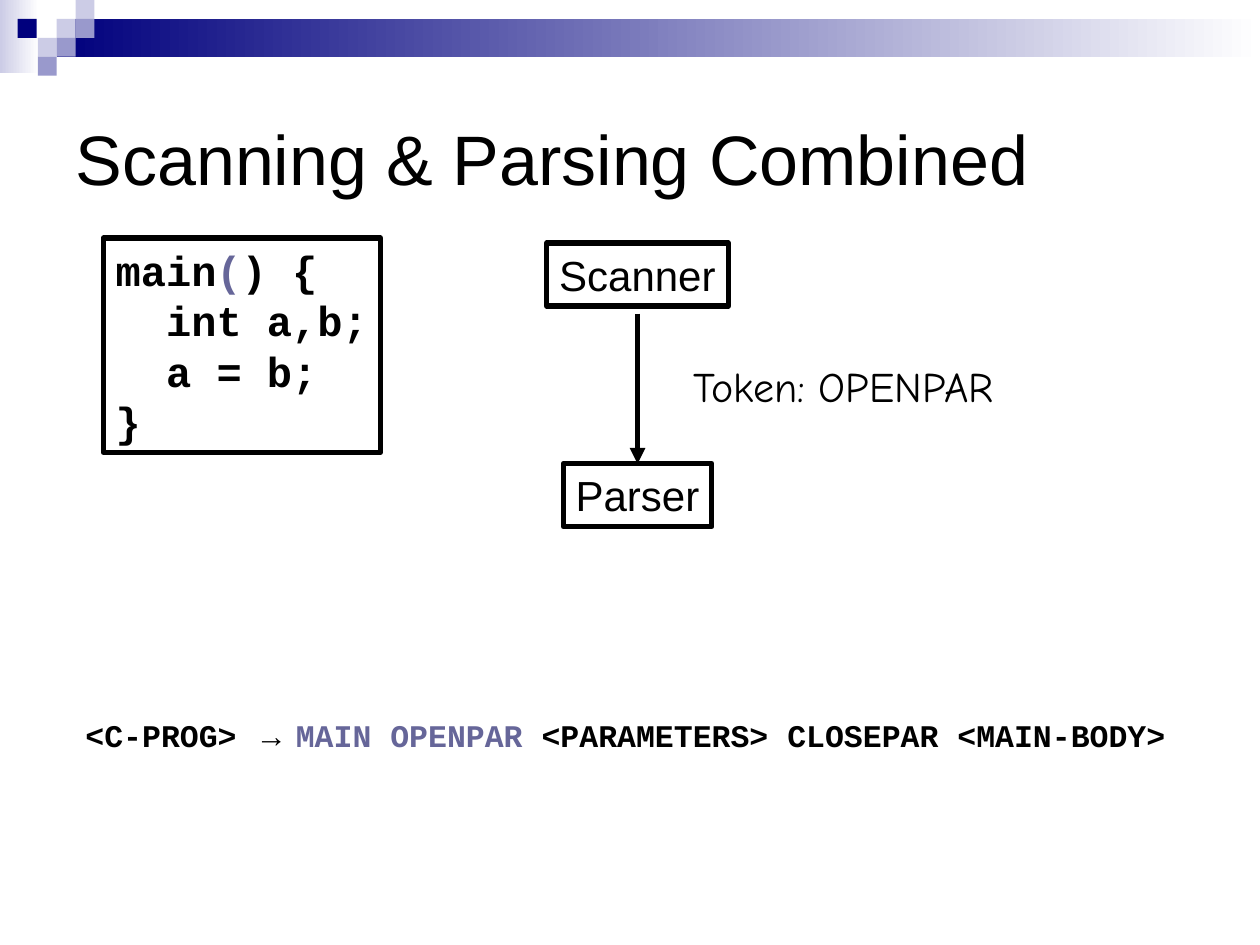
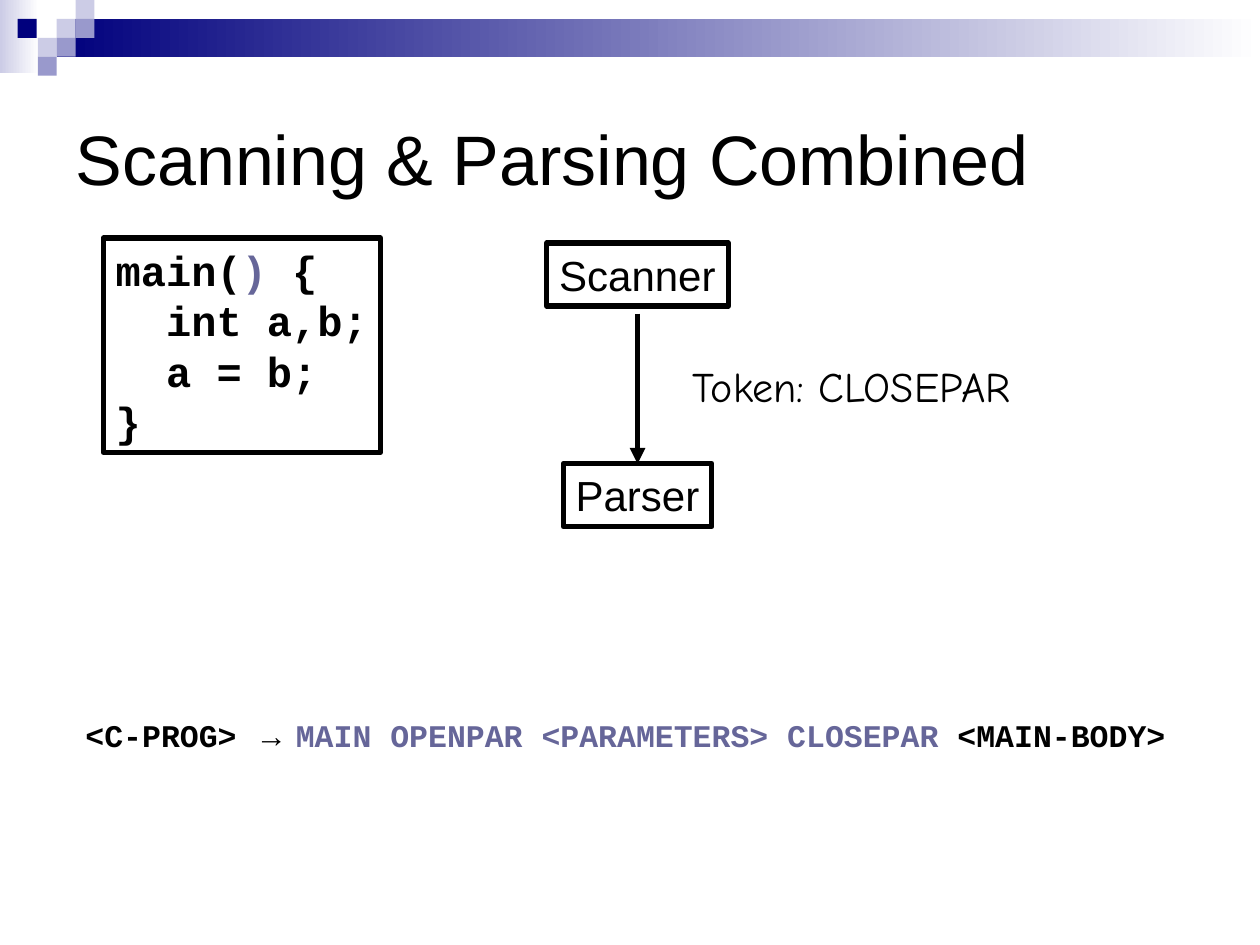
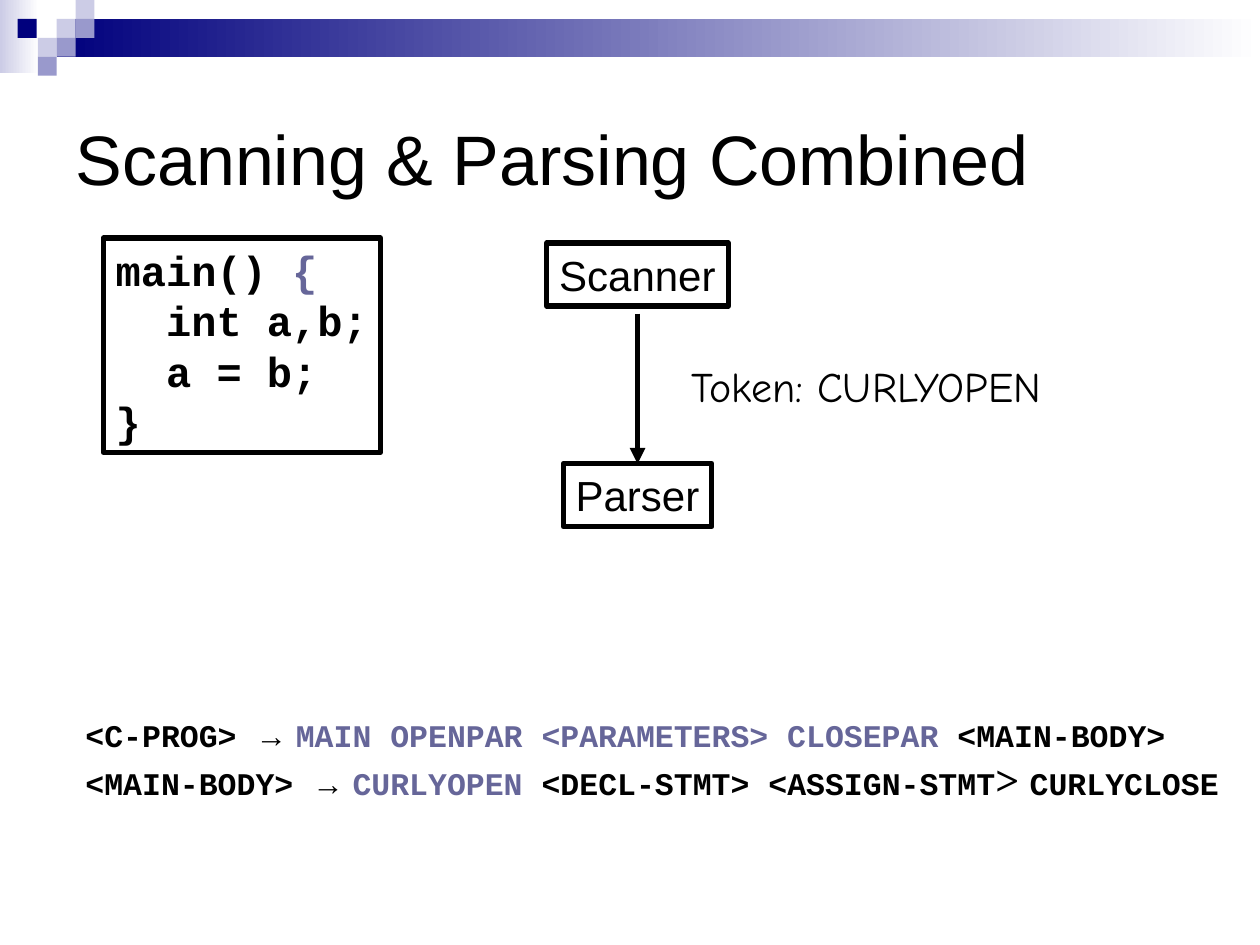
from lxml import etree
from pptx import Presentation
from pptx.dml.color import RGBColor
from pptx.enum.shapes import MSO_CONNECTOR, MSO_SHAPE
from pptx.enum.text import MSO_ANCHOR, PP_ALIGN
from pptx.oxml.ns import qn
from pptx.util import Inches, Pt

RECT = MSO_SHAPE.RECTANGLE
LINE = MSO_CONNECTOR.STRAIGHT
LEFT, MID = PP_ALIGN.LEFT, PP_ALIGN.CENTER
TOP, CENTRE = MSO_ANCHOR.TOP, MSO_ANCHOR.MIDDLE

BLACK, WHITE, NAVY = "000000", "FFFFFF", "00007D"
PALE, LILAC, MARK = "CCCCE6", "9999CC", "666699"
SANS, MONO, HAND, SERIF = "Arial", "Courier New", "Comic Neue", "Times New Roman"
TITLE = "Scanning & Parsing Combined"
BODY = ["  int a,b;", "  a = b;", "}"]
TILES = [
    (0.45, 0.15, PALE), (0.6, 0, PALE), (0.6, 0.15, LILAC), (0.3, 0.3, PALE),
    (0.14, 0.15, NAVY), (0.45, 0.3, LILAC), (0.3, 0.45, LILAC),
]
ARROW = ("→ ", {"name": SANS})


def rgb(code):
    """Turn a hex string into a colour."""
    return RGBColor.from_string(code)


def mark(text):
    """Return a run in the highlight colour."""
    return text, {"color": MARK}


def style(font, name=None, size=None, color=None, bold=None):
    """Set the given properties of a font."""
    if name:
        font.name = name
    if size:
        font.size = Pt(size)
    if color:
        font.color.rgb = rgb(color)
    if bold is not None:
        font.bold = bold


def write(shape, paras, name, size, bold=False, wrap=True, align=LEFT, anchor=TOP):
    """Fill a shape with paragraphs, each a string or a list of runs."""
    frame = shape.text_frame
    frame.word_wrap = wrap
    frame.vertical_anchor = anchor
    for i, runs in enumerate(paras):
        para = frame.add_paragraph() if i else frame.paragraphs[0]
        para.alignment = align
        style(para.font, name, size, BLACK, bold)
        for item in [runs] if isinstance(runs, str) else runs:
            text, props = (item, {}) if isinstance(item, str) else item
            run = para.add_run()
            run.text = text
            style(run.font, **props)


def rect(shapes, x, y, w, h):
    """Add a plain rectangle without shadow."""
    shape = shapes.add_shape(RECT, Inches(x), Inches(y), Inches(w), Inches(h))
    shape.shadow.inherit = False
    return shape


def fade(shapes, x, y, w, h, color):
    """Add a band that fades to white."""
    band = rect(shapes, x, y, w, h)
    band.line.fill.background()
    band.fill.gradient()
    band.fill.gradient_angle = 0
    for stop, code in zip(band.fill.gradient_stops, (color, WHITE)):
        stop.color.rgb = rgb(code)


def header(slide, layout):
    """Build the header band and move it to the layout."""
    group = slide.shapes.add_group_shape()
    fade(group.shapes, 0, 0, 0.31, 0.58, PALE)
    fade(group.shapes, 0.45, 0.15, 9.55, 0.3, NAVY)
    for x, y, color in TILES:
        tile = rect(group.shapes, x, y, 0.15, 0.15)
        tile.line.fill.background()
        tile.fill.solid()
        tile.fill.fore_color.rgb = rgb(color)
    layout.shapes.element.insert(2, group.element)


def head(slide):
    """Place the slide title."""
    title = slide.shapes.title
    title.left, title.top = Inches(0.5), Inches(0.5)
    title.width, title.height = Inches(9), Inches(1.5)
    write(title, [TITLE], SANS, 40, anchor=CENTRE)


def box(slide, x, y, w, h, paras, name=SANS, bold=False):
    """Add an outlined box with text."""
    shape = rect(slide.shapes, x, y, w, h)
    shape.fill.background()
    shape.line.color.rgb = rgb(BLACK)
    shape.line.width = Pt(3)
    write(shape, paras, name, 24, bold, wrap=False)
    return shape


def note(slide, x, y, w, h, paras, name, size, bold=False, align=LEFT):
    """Add a text box."""
    shape = slide.shapes.add_textbox(Inches(x), Inches(y), Inches(w), Inches(h))
    write(shape, paras, name, size, bold, align=align)


def arrow(slide, x, y, goal):
    """Draw an arrow from a point to the top of a box."""
    line = slide.shapes.add_connector(LINE, Inches(x), Inches(y), Inches(x), goal.top)
    line.end_connect(goal, 0)
    line.line.color.rgb = rgb(BLACK)
    line.line.width = Pt(3)
    tail = etree.SubElement(line.line._get_or_add_ln(), qn("a:tailEnd"))
    tail.set("type", "triangle")
    etree.SubElement(line._element.spPr, qn("a:effectLst"))


def step(slide, code, token, x, w, align, rules, width, height):
    """Build one step of the scan and parse."""
    head(slide)
    box(slide, 0.82, 1.89, 2.2, 1.7, [code] + BODY, MONO, True)
    parser = box(slide, 4.47, 3.68, 1.18, 0.5, ["Parser"])
    box(slide, 4.34, 1.93, 1.44, 0.5, ["Scanner"])
    arrow(slide, 5.06, 2.49, parser)
    note(slide, x, 2.81, w, 0.5, ["Token: " + token], HAND, 24, align=align)
    note(slide, 0.58, 5.63, width, height, rules, MONO, 18, True)


def main():
    """Build the deck."""
    deck = Presentation()
    deck.slide_width, deck.slide_height = Inches(10), Inches(7.5)
    layout = deck.slide_layouts[5]
    start = ["<C-PROG> ", ARROW]
    opened = start + [mark("MAIN OPENPAR"), " <PARAMETERS> CLOSEPAR <MAIN-BODY>"]
    closed = start + [mark("MAIN OPENPAR <PARAMETERS> CLOSEPAR"), " <MAIN-BODY>"]
    inner = [
        "<MAIN-BODY> ", ARROW, mark("CURLYOPEN"), " <DECL-STMT> <ASSIGN-STMT",
        ("> ", {"name": SERIF, "size": 24}), "CURLYCLOSE",
    ]
    steps = [
        (["main", mark("("), ") {"], "OPENPAR", 5.38, 2.63, MID, [opened], 8.8, 0.4),
        (["main(", mark(")"), " {"], "CLOSEPAR", 5.4, 2.78, LEFT, [closed], 8.8, 0.4),
        (["main() ", mark("{")], "CURLYOPEN", 5.39, 3.05, LEFT,
         [closed, inner], 9.23, 0.8),
    ]
    for i, parts in enumerate(steps):
        slide = deck.slides.add_slide(layout)
        if i == 0:
            header(slide, layout)
        step(slide, *parts)
    deck.save("out.pptx")


if __name__ == "__main__":
    main()
